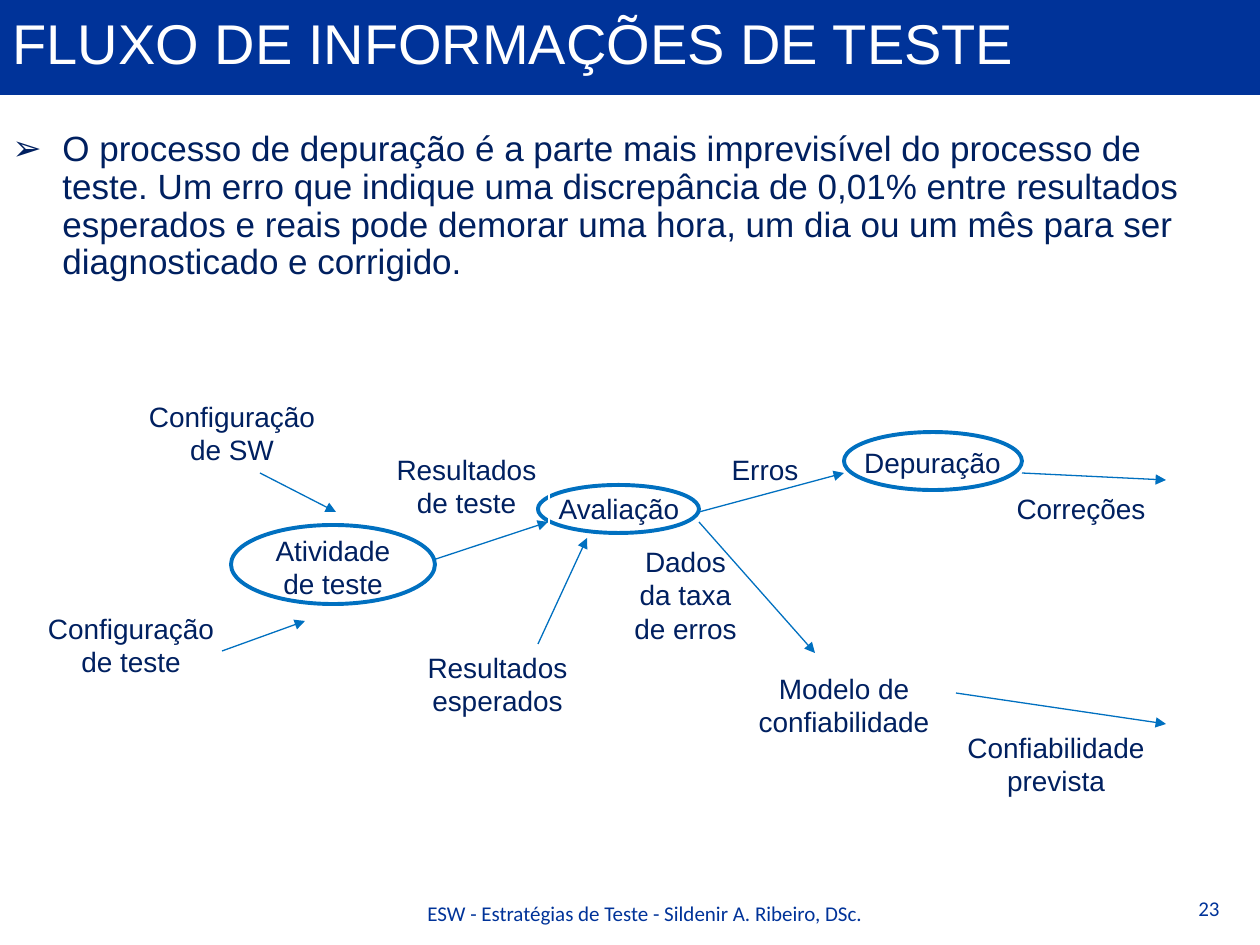
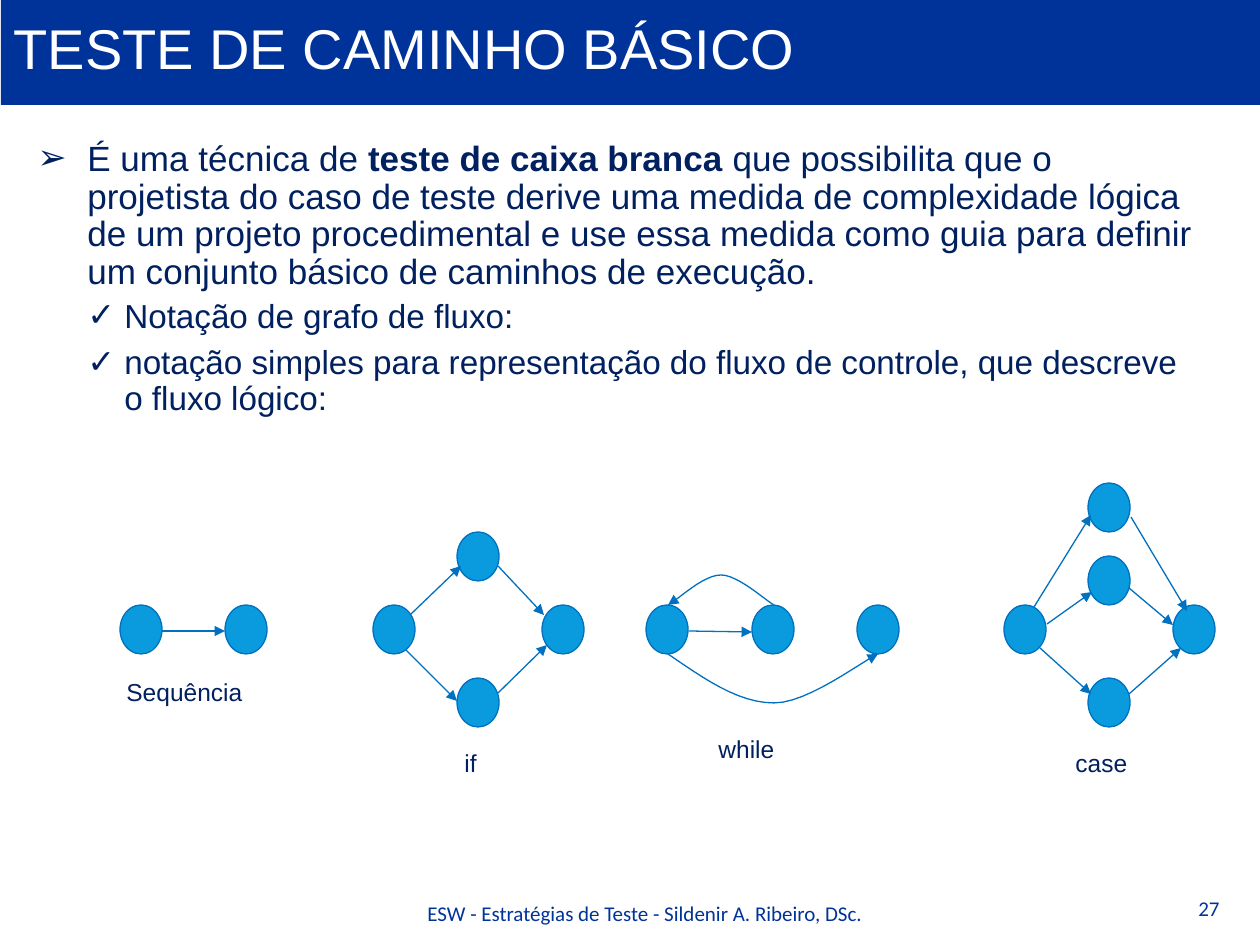
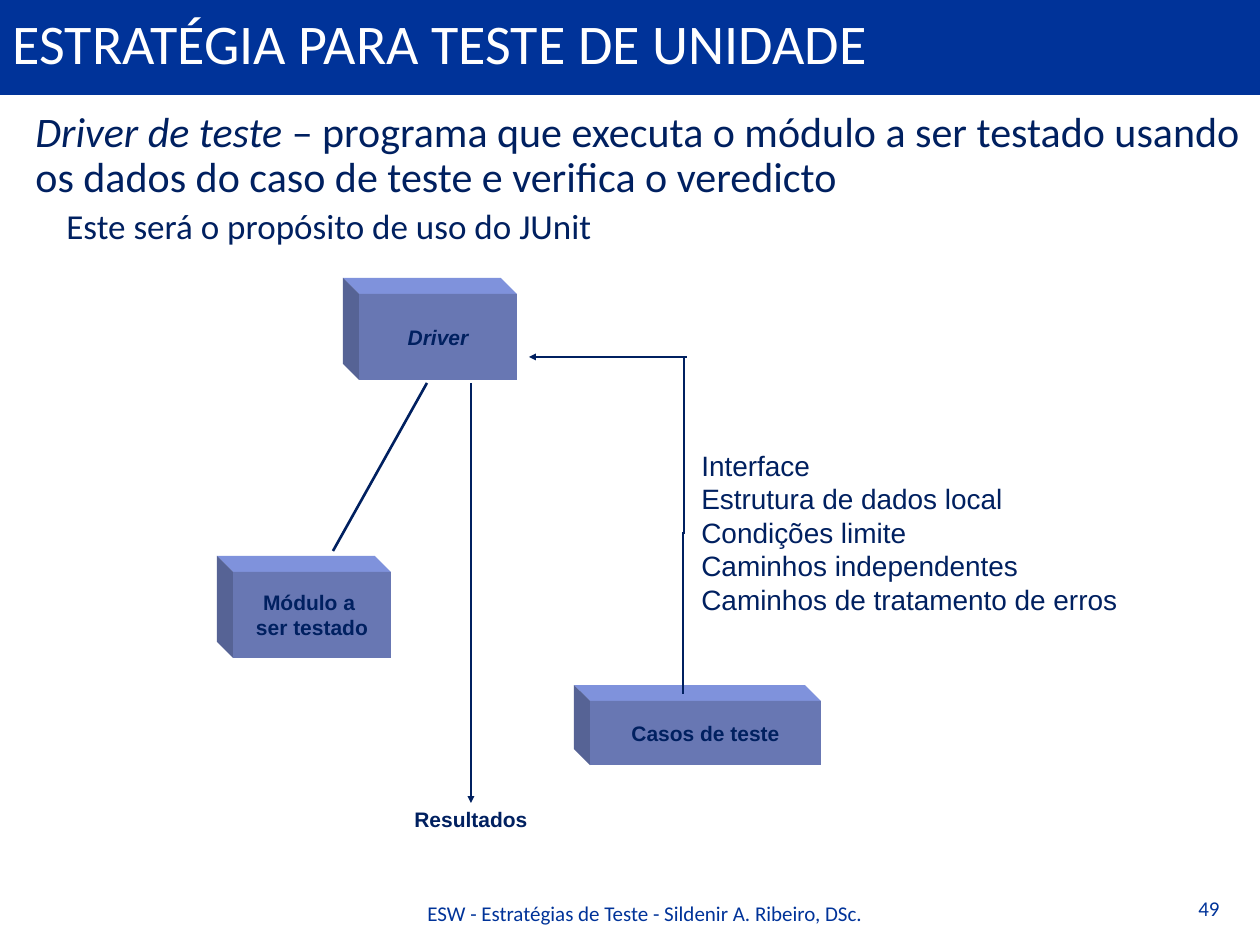
from dataclasses import dataclass

from lxml import etree
from pptx import Presentation
from pptx import util as u
from pptx.dml.color import RGBColor
from pptx.enum import shapes, text
from pptx.oxml import ns

EMU_PER_PX = 914400 / 126
BAND = RGBColor(0x00, 0x33, 0x99)
INK = RGBColor(0x00, 0x20, 0x60)
STROKE = RGBColor(0x00, 0x70, 0xC0)
NODE_FILL = RGBColor(0x09, 0x9B, 0xDD)
WHITE = RGBColor(0xFF, 0xFF, 0xFF)
BLOCK_FRONT = RGBColor(0x68, 0x77, 0xB3)
BLOCK_TOP = RGBColor(0x7F, 0x92, 0xDC)
BLOCK_SIDE = RGBColor(0x56, 0x63, 0x95)

FOOTER = "ESW - Estratégias de Teste - Sildenir A. Ribeiro, DSc."
CENTER = text.PP_ALIGN.CENTER
LEFT = text.PP_ALIGN.LEFT
MIDDLE = text.MSO_ANCHOR.MIDDLE
NODE_W, NODE_H = 42, 49
COLUMN, ROW = 84, 73
BLOCK_DEPTH = 16
MAIN_ITEM = dict(size=20, spacing=0.9, before=12, after=2)
SUB_ITEM = dict(size=19, spacing=0.9, before=2, after=4, level=1)


def px(length):
    return u.Emu(round(length * EMU_PER_PX))


@dataclass(frozen=True)
class Area:
    left: int
    top: int
    width: int = 0
    height: int = 0

    def sub(self, x, y, width=0, height=0):
        return Area(self.left + x, self.top + y, width, height)

    def point(self, x, y):
        return px(self.left + x), px(self.top + y)

    def emu(self):
        return px(self.left), px(self.top), px(self.width), px(self.height)


def write(para, content, size=16, font="Arial", color=INK, bold=False,
          align=LEFT, spacing=None, before=0, after=0, level=0,
          indent=0, hanging=0, bullet=None):
    """Fill a paragraph with a string or a list of (string, font settings)."""
    para.alignment, para.level = align, level
    para.space_before, para.space_after = u.Pt(before), u.Pt(after)
    if spacing:
        para.line_spacing = spacing
    properties = para._p.get_or_add_pPr()
    properties.set("marL", str(px(indent)))
    properties.set("indent", str(-px(hanging)))
    if bullet:
        etree.SubElement(properties, ns.qn("a:buFont"), typeface=font)
        etree.SubElement(properties, ns.qn("a:buChar"), char=bullet)
    else:
        etree.SubElement(properties, ns.qn("a:buNone"))
    spans = [(content, {})] if isinstance(content, str) else content
    for words, settings in spans:
        span = para.add_run()
        span.text = words
        span.font.name, span.font.size = font, u.Pt(size)
        span.font.color.rgb, span.font.bold = color, bold
        for key, value in settings.items():
            setattr(span.font, key, value)


def write_lines(frame, lines, **style):
    """Write one paragraph for each line."""
    for number, line in enumerate(lines):
        para = frame.add_paragraph() if number else frame.paragraphs[0]
        write(para, line, **style)


def add_text(page, area, lines, wrap=False, line=None, **style):
    box = page.shapes.add_textbox(*area.emu())
    box.text_frame.word_wrap = wrap
    if line is not None:
        set_line(box.line, line, 0.75)
    write_lines(box.text_frame, lines, **style)
    return box


def set_line(line, color, width):
    line.color.rgb, line.width = color, u.Pt(width)


def add_arrowhead(line, size="med"):
    etree.SubElement(line._get_or_add_ln(), ns.qn("a:tailEnd"),
                     type="triangle", w=size, len=size)


def add_oval(page, area, width=0.75, fill=None):
    oval = page.shapes.add_shape(shapes.MSO_SHAPE.OVAL, *area.emu())
    oval.shadow.inherit = False
    set_line(oval.line, STROKE, width)
    if fill is None:
        oval.fill.background()
    else:
        oval.fill.solid()
        oval.fill.fore_color.rgb = fill


def add_line(page, area, ends, color=STROKE, width=0.75, head="med"):
    """Draw a straight line; ends is (x1, y1, x2, y2) within the area."""
    x1, y1, x2, y2 = ends
    connector = page.shapes.add_connector(
        shapes.MSO_CONNECTOR.STRAIGHT, *area.point(x1, y1), *area.point(x2, y2))
    set_line(connector.line, color, width)
    if head:
        add_arrowhead(connector.line, head)
    etree.SubElement(connector._element.spPr, ns.qn("a:effectLst"))


def add_outline(page, area, points, closed):
    start, *others = [area.point(x, y) for x, y in points]
    builder = page.shapes.build_freeform(*start)
    builder.add_line_segments(others, close=closed)
    outline = builder.convert_to_shape()
    outline.shadow.inherit = False
    return outline


def bezier(start, first, second, end, steps=12):
    """Return the points after start on a cubic curve."""
    points = []
    for step in range(1, steps + 1):
        t = step / steps
        weights = ((1 - t) ** 3, 3 * t * (1 - t) ** 2, 3 * t ** 2 * (1 - t), t ** 3)
        points.append(tuple(
            sum(weight * value for weight, value in zip(weights, axis))
            for axis in zip(start, first, second, end)))
    return points


def add_curve(page, area, knots):
    """Draw an arrow along joined cubic curves."""
    points = [knots[0]]
    for index in range(0, len(knots) - 1, 3):
        points += bezier(*knots[index:index + 4])
    curve = add_outline(page, area, points, closed=False)
    curve.fill.background()
    set_line(curve.line, STROKE, 0.75)
    add_arrowhead(curve.line)


def start_page(deck, title, number, band, font="Arial"):
    """Add a slide with its title band and footer."""
    page = deck.slides.add_slide(deck.slide_layouts[5])
    heading = page.shapes.title
    heading.left, heading.top, heading.width, heading.height = band.emu()
    heading.fill.solid()
    heading.fill.fore_color.rgb = BAND
    frame = heading.text_frame
    frame.word_wrap, frame.vertical_anchor = True, MIDDLE
    frame.auto_size = text.MSO_AUTO_SIZE.NONE
    write_lines(frame, [title], size=32, font=font, color=WHITE, spacing=0.85)
    note = dict(wrap=True, size=12, font="Calibri", color=BAND)
    add_text(page, Area(293, 894, 704, 50), [FOOTER], align=CENTER, **note)
    add_text(page, Area(1186, 889, 74, 50), [str(number)], **note)
    return page


def add_body(page, area, items):
    """Write body items, each a pair of content and paragraph style."""
    frame = page.shapes.add_textbox(*area.emu()).text_frame
    frame.word_wrap = True
    for number, (content, style) in enumerate(items):
        para = frame.add_paragraph() if number else frame.paragraphs[0]
        write(para, content, **style)


def test_flow(page, area):
    def label(x, y, width, *lines):
        place = area.sub(x, y, width, 47 + 33 * (len(lines) - 1))
        box = add_text(page, place, lines, line=WHITE, align=CENTER)
        box.text_frame.margin_left = box.text_frame.margin_right = 0

    stages = [
        ((204, 134, 188, "Atividade", "de teste"), (196, 132, 204, 79)),
        ((511, 92, 146, "Avaliação"), (503, 92, 161, 48)),
        ((817, 46, 161, "Depuração"), (809, 39, 178, 58)),
    ]
    for caption, ring in stages:
        label(*caption)
        add_oval(page, area.sub(*ring), width=2.25)

    for caption in [
        (705, 272, 208, "Modelo de", "confiabilidade"),
        (101, 0, 192, "Configuração", "de SW"),
        (0, 212, 192, "Configuração", "de teste"),
        (349, 53, 165, "Resultados", "de teste"),
        (380, 251, 165, "Resultados", "esperados"),
        (586, 145, 129, "Dados", "da taxa", "de erros"),
        (684, 53, 92, "Erros"),
        (969, 92, 154, "Correções"),
        (920, 331, 202, "Confiabilidade", "prevista"),
    ]:
        label(*caption)

    for ends in [
        (225, 80, 301, 119), (187, 258, 270, 228), (401, 166, 513, 129),
        (503, 251, 552, 145), (664, 129, 780, 260), (664, 119, 809, 80),
        (921, 300, 1131, 331), (987, 80, 1131, 87),
    ]:
        add_line(page, area, ends)


def flow_graph(page, area, name, name_box, nodes, arrows, curves=()):
    """Draw a control-flow graph placed from its leftmost node."""
    for x, y in nodes:
        add_oval(page, area.sub(x, y, NODE_W, NODE_H), fill=NODE_FILL)
    for ends in arrows:
        add_line(page, area, ends)
    for knots in curves:
        add_curve(page, area, knots)
    add_text(page, area.sub(*name_box), [name], line=WHITE, size=14)


def control_graphs(page, area):
    flow_graph(page, area, "Sequência", (-6, 66, 142, 43),
               nodes=[(0, 0), (105, 0)], arrows=[(NODE_W, 26, 105, 26)])

    diamond = [(0, 0), (COLUMN, -ROW), (COLUMN, ROW), (2 * COLUMN + 1, 0)]
    flow_graph(page, area.sub(253, 0), "if", (79, 137, 45, 58), nodes=diamond,
               arrows=[(37, 10, 88, -39), (125, -39, 171, 10),
                       (125, 88, 174, 40), (33, 45, 84, 96)])

    exit_curve = [(22, 49), (57, 73), (92, 98), (128, 98),
                  (162, 98), (215, 57), (232, 49)]
    return_curve = [(128, 0), (119, -5), (92, -30), (75, -30),
                    (57, -30), (33, -6), (22, 0)]
    flow_graph(page, area.sub(526, 0), "while", (60, 123, 97, 58),
               nodes=[(0, 0), (106, 0), (211, 0)], arrows=[(43, 26, 106, 27)],
               curves=[exit_curve, return_curve])

    branches = [(COLUMN, y) for y in (-122, -NODE_H, ROW)]
    flow_graph(page, area.sub(884, 0), "case", (59, 137, 92, 58),
               nodes=[(0, 0), *branches, (2 * COLUMN + 1, 0)],
               arrows=[(30, 2, 87, -90), (43, 19, 88, -13), (36, 43, 87, 89),
                       (127, -88, 183, 6), (125, -17, 169, 20),
                       (125, 89, 177, 43)])


def add_block(page, area, lines):
    """Draw a solid block whose front face is the area."""
    width, height, depth = area.width, area.height, BLOCK_DEPTH
    corner = (-depth, -depth)
    faces = [
        (BLOCK_TOP, [(0, 0), corner, (width - depth, -depth), (width, 0)]),
        (BLOCK_SIDE, [(0, 0), corner, (-depth, height - depth), (0, height)]),
    ]
    solids = [(add_outline(page, area, points, closed=True), color)
              for color, points in faces]
    front = page.shapes.add_shape(shapes.MSO_SHAPE.RECTANGLE, *area.emu())
    front.shadow.inherit = False
    for solid, color in [*solids, (front, BLOCK_FRONT)]:
        solid.fill.solid()
        solid.fill.fore_color.rgb = color
        solid.line.fill.background()
    frame = front.text_frame
    frame.word_wrap, frame.vertical_anchor = False, MIDDLE
    write_lines(frame, lines, size=12, bold=True, align=CENTER)


def unit_test_diagram(page, area):
    add_block(page, area.sub(142, 17, 158, 86), [[("Driver", {"italic": True})]])
    add_block(page, area.sub(16, 295, 158, 86), ["Módulo a ", "ser testado"])
    add_block(page, area.sub(373, 424, 231, 64), ["Casos de teste"])
    add_text(page, area.sub(472, 165, 447, 183), [
        "Interface", "Estrutura de dados local", "Condições limite",
        "Caminhos independentes", "Caminhos de tratamento de erros"])
    add_text(page, area.sub(185, 523, 139, 39), ["Resultados"], size=12, bold=True)
    for ends, head in [
        ((254, 106, 254, 526), "sm"),
        ((466, 417, 466, 255), None),
        ((467, 257, 467, 80), None),
        ((470, 80, 312, 80), "sm"),
        ((210, 106, 116, 274), None),
    ]:
        add_line(page, area, ends, color=INK, width=1.5, head=head)


def main():
    deck = Presentation()
    deck.slide_width, deck.slide_height = px(1260), px(945)
    arrow_item = dict(MAIN_ITEM, indent=50, hanging=50, bullet="➢")
    check_item = dict(SUB_ITEM, indent=87, hanging=37, bullet="✓")

    page = start_page(deck, "FLUXO DE INFORMAÇÕES DE TESTE", 23, Area(0, 0, 1260, 95))
    add_body(page, Area(0, 125, 1245, 233), [(
        "O processo de depuração é a parte mais imprevisível do processo de "
        "teste. Um erro que indique uma discrepância de 0,01% entre resultados "
        "esperados e reais pode demorar uma hora, um dia ou um mês para ser "
        "diagnosticado e corrigido.", arrow_item)])
    test_flow(page, Area(35, 393, 1131, 413))

    page = start_page(deck, "TESTE DE CAMINHO BÁSICO", 27, Area(1, 0, 1259, 105))
    add_body(page, Area(25, 135, 1183, 704), [
        ([("É uma técnica de ", {}),
          ("teste de caixa branca", {"bold": True}),
          (" que possibilita que o projetista do caso de teste derive uma "
           "medida de complexidade lógica de um projeto procedimental e use "
           "essa medida como guia para definir um conjunto básico de caminhos "
           "de execução.", {})], arrow_item),
        ("Notação de grafo de fluxo:", check_item),
        ("notação simples para representação do fluxo de controle, que "
         "descreve o fluxo lógico:", check_item)])
    control_graphs(page, Area(120, 605, 1095, 195))

    page = start_page(deck, "ESTRATÉGIA PARA TESTE DE UNIDADE", 49,
                      Area(0, 0, 1260, 95), font="Calibri")
    add_body(page, Area(0, 105, 1260, 189), [
        ([("Driver de teste", {"italic": True}),
          (" – programa que executa o módulo a ser testado usando os dados do "
           "caso de teste e verifica o veredicto", {})],
         dict(MAIN_ITEM, size=24, font="Calibri", indent=23)),
        ("Este será o propósito de uso do JUnit",
         dict(SUB_ITEM, size=20, font="Calibri", indent=54))])
    unit_test_diagram(page, Area(217, 277, 919, 562))

    deck.save("out.pptx")


if __name__ == "__main__":
    main()
